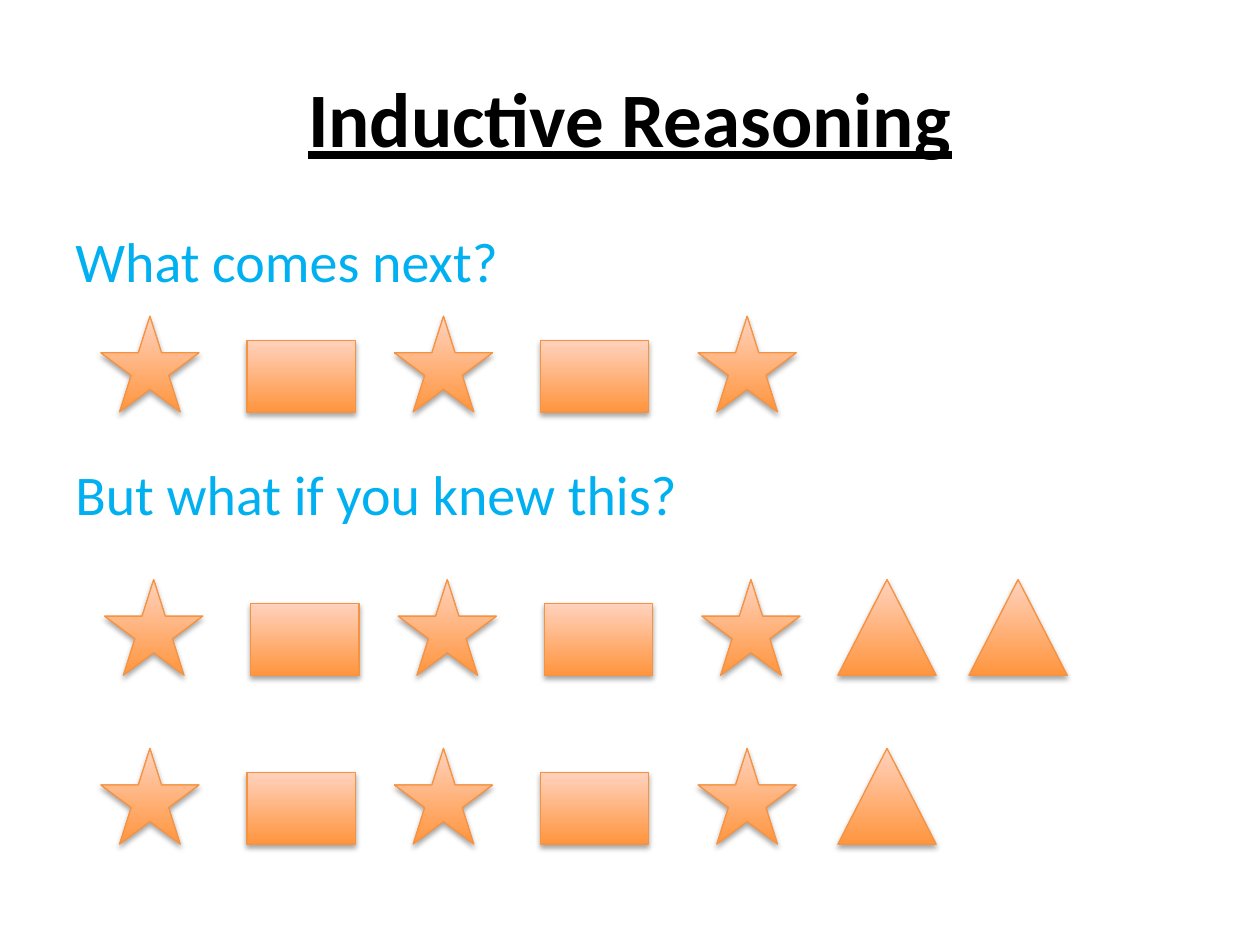
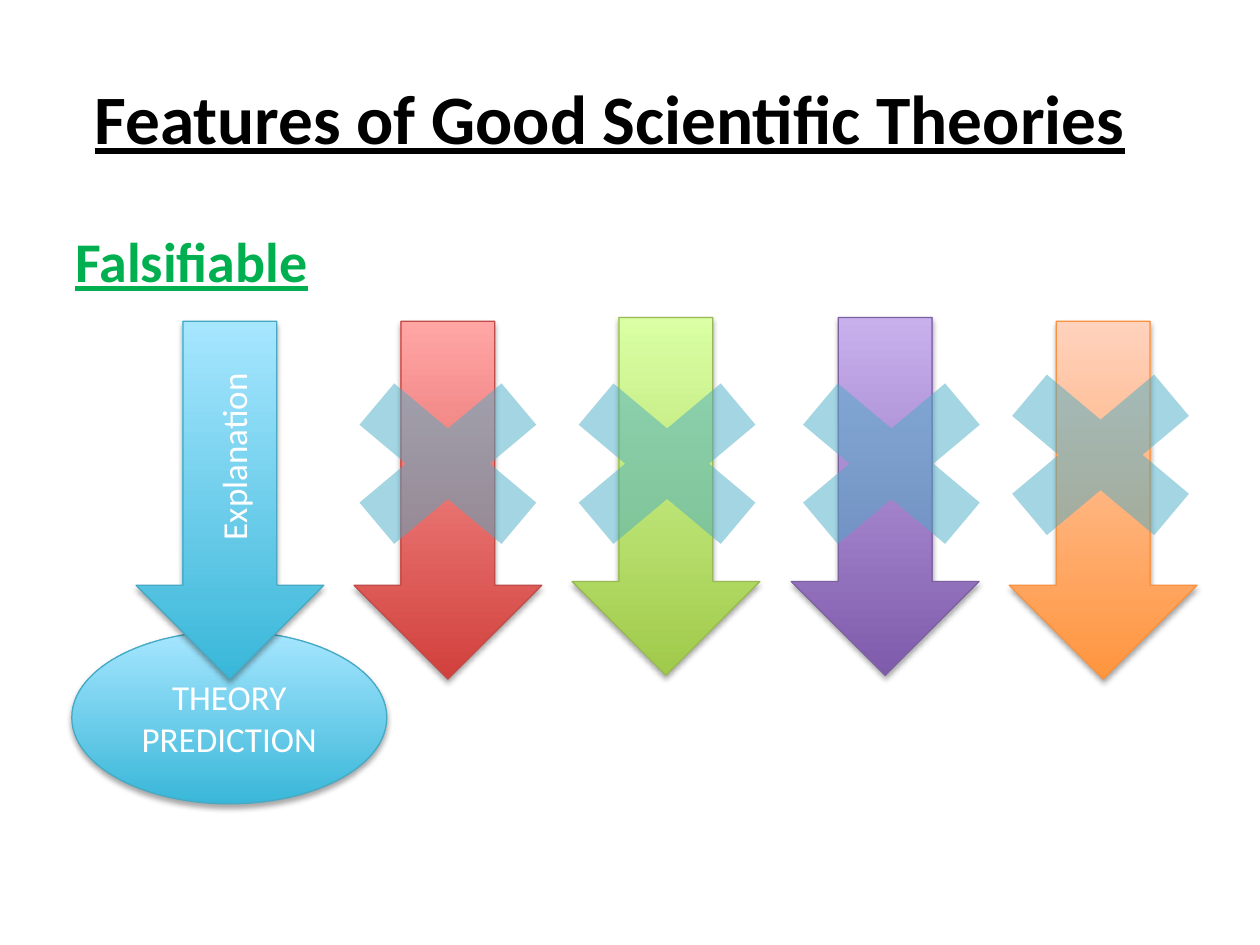
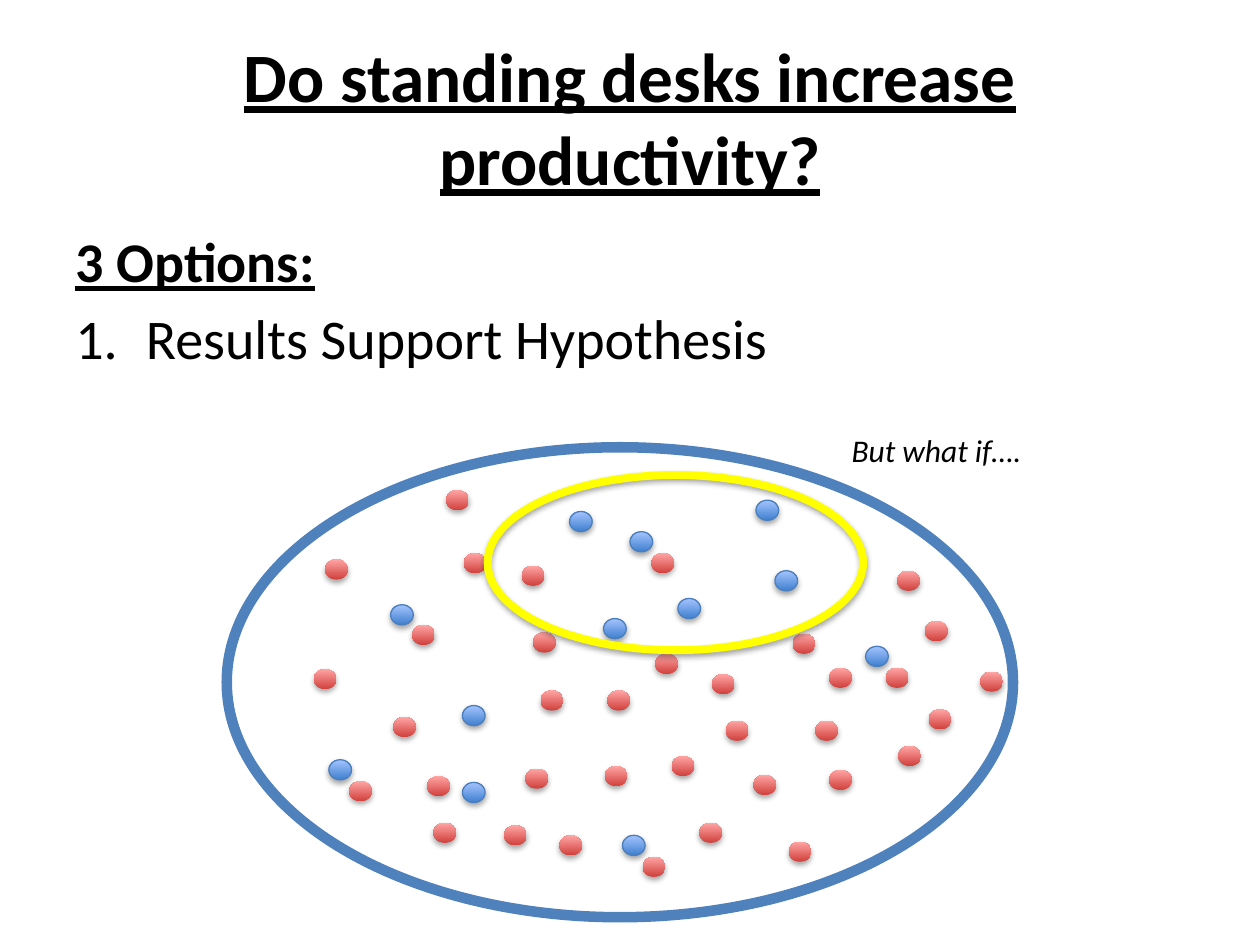
"""Builds three slides on inductive reasoning, falsifiable theories and sampling."""
import lxml.etree
import pptx
import pptx.dml.color
import pptx.enum.shapes
import pptx.enum.text
import pptx.oxml.ns
import pptx.util

KIND = pptx.enum.shapes.MSO_SHAPE
ALIGN = pptx.enum.text.PP_ALIGN
ANCHOR = pptx.enum.text.MSO_ANCHOR
EMU_PER_PX = 9144
LINE_GAP = 5.5

BLACK, WHITE, YELLOW = "000000", "FFFFFF", "FFFF00"
SKY, GREEN, AQUA, RING_BLUE = "00B0F0", "00B050", "4BACC6", "4F81BD"

TEAL_GLOSS = ("39B7D8", "A7E6FF", "46AAC5")
RED_GLOSS = ("D1403C", "FFA6A5", "BF4C48")
GREEN_GLOSS = ("A0CA4A", "DAFFA5", "98B955")
PURPLE_GLOSS = ("7F5BAB", "C8B0ED", "7D60A0")
ORANGE_GLOSS = ("FF953E", "FFD2BD", "F69240")
BLUE_GLOSS = ("3F80CE", "A4C4FF", "4B7EBC")
RED_DOT_GLOSS = RED_GLOSS[:2] + (None,)


def px(length):
    """Turn px into EMU."""
    return pptx.util.Emu(length * EMU_PER_PX)


def color(hex_string):
    """Turn a hex string into a colour."""
    return pptx.dml.color.RGBColor.from_string(hex_string)


def add_xml(parent, tag, **attributes):
    """Append a DrawingML element and return it."""
    return lxml.etree.SubElement(parent, pptx.oxml.ns.qn(tag), attributes)


class Deck:
    """Holds the shared style and the current slide."""

    font = "Calibri"

    def __init__(self):
        """Start a 10 by 7.5 inch presentation."""
        self.presentation = pptx.Presentation()
        self.presentation.slide_width = px(1000)
        self.presentation.slide_height = px(750)
        self.slide = None

    def new_slide(self):
        """Add a blank slide and make it current."""
        self.slide = self.presentation.slides.add_slide(self.presentation.slide_layouts[6])

    def style(self, paragraph, size, hue, bold=False, underline=False, italic=False):
        """Format every run of a paragraph."""
        for run in paragraph.runs:
            run.font.name = self.font
            run.font.size = pptx.util.Pt(size)
            run.font.color.rgb = color(hue)
            run.font.bold = bold
            run.font.underline = underline
            run.font.italic = italic

    def text(self, box, words, size, hue, **looks):
        """Add a wrapping text box and return it."""
        label = self.slide.shapes.add_textbox(*map(px, box))
        label.text_frame.word_wrap = True
        label.text_frame.text = words
        self.style(label.text_frame.paragraphs[0], size, hue, **looks)
        return label

    def title(self, words, size, left=50):
        """Add the centred, underlined slide title."""
        heading = self.text((left, 30, 900, 125), words, size, BLACK, bold=True, underline=True)
        heading.text_frame.vertical_anchor = ANCHOR.MIDDLE
        heading.text_frame.paragraphs[0].alignment = ALIGN.CENTER

    def body(self, words, hue, **looks):
        """Add the body text and return its frame."""
        return self.text((50, 175, 900, 495), words, 32, hue, **looks).text_frame

    def body_line(self, frame, words, hue, gap=LINE_GAP):
        """Add a further line to the body and return it."""
        line = frame.add_paragraph()
        line.text = words
        line.space_before = pptx.util.Pt(gap)
        self.style(line, 32, hue)
        return line

    def number(self, line):
        """Give a line an automatic number and a hanging indent."""
        properties = line._p.get_or_add_pPr()
        properties.set("marL", str(px(56)))
        properties.set("indent", str(px(-56)))
        add_xml(properties, "a:buFont", typeface="+mj-lt")
        add_xml(properties, "a:buAutoNum", type="arabicPeriod")

    def shape(self, kind, box, fill=None, line=None, width=0.75, alpha=None):
        """Add a flat shape with an optional fill and line."""
        figure = self.slide.shapes.add_shape(kind, *map(px, box))
        figure.shadow.inherit = False
        if fill:
            figure.fill.solid()
            figure.fill.fore_color.rgb = color(fill)
        else:
            figure.fill.background()
        if alpha:
            hue = figure.element.spPr.find(".//" + pptx.oxml.ns.qn("a:srgbClr"))
            add_xml(hue, "a:alpha", val=str(alpha * 1000))
        if line:
            figure.line.color.rgb = color(line)
            figure.line.width = pptx.util.Pt(width)
        else:
            figure.line.fill.background()
        return figure

    def cast_shadow(self, figure):
        """Put a soft shadow below a shape."""
        effects = figure.element.spPr.find(pptx.oxml.ns.qn("a:effectLst"))
        shadow = add_xml(effects, "a:outerShdw", blurRad="40000", dist="23000",
                         dir="5400000", rotWithShape="0")
        add_xml(add_xml(shadow, "a:srgbClr", val=BLACK), "a:alpha", val="35000")

    def glossy(self, kind, box, gloss):
        """Add a shape with a vertical gradient and a shadow."""
        bottom, top, edge = gloss
        figure = self.shape(kind, box, line=edge)
        figure.fill.gradient()
        figure.fill.gradient_angle = 90
        for stop, hue in zip(figure.fill.gradient_stops, (bottom, top)):
            stop.color.rgb = color(hue)
        self.cast_shadow(figure)
        return figure


def inductive_reasoning(deck):
    """Show a sequence and two ways it may go on."""
    deck.new_slide()
    deck.title("Inductive Reasoning", 44)
    questions = deck.body("What comes next?", SKY)
    deck.body_line(questions, "But what if you knew this?", SKY, gap=94.6)

    sizes = {KIND.STAR_5_POINT: (78, 76), KIND.RECTANGLE: (86, 57),
             KIND.ISOSCELES_TRIANGLE: (78, 76)}
    star, block, triangle = sizes
    pattern = ((star, 80), (block, 196), (star, 313), (block, 429), (star, 554))
    for baseline, shift, triangles in ((327, 0, ()), (536, 3, (665, 769)), (670, 0, (665,))):
        sequence = [(kind, left + shift) for kind, left in pattern]
        sequence += [(triangle, left) for left in triangles]
        for kind, left in sequence:
            width, height = sizes[kind]
            deck.glossy(kind, (left, baseline - height, width, height), ORANGE_GLOSS)


def good_theories(deck):
    """Show one explanation left standing among five."""
    deck.new_slide()
    deck.body("Falsifiable", GREEN, bold=True, underline=True)

    prediction = deck.glossy(KIND.OVAL, (57, 501, 250, 137), TEAL_GLOSS)
    prediction.text_frame.text = "THEORY PREDICTION"
    prediction.text_frame.word_wrap = True
    prediction.text_frame.vertical_anchor = ANCHOR.MIDDLE
    prediction.text_frame.paragraphs[0].alignment = ALIGN.CENTER
    deck.style(prediction.text_frame.paragraphs[0], 20, WHITE)

    explanations = ((TEAL_GLOSS, 255), (RED_GLOSS, 255), (GREEN_GLOSS, 252),
                    (PURPLE_GLOSS, 252), (ORANGE_GLOSS, 255))
    for column, (gloss, top) in enumerate(explanations):
        deck.glossy(KIND.DOWN_ARROW, (108 + round(173.25 * column), top, 149, 284), gloss)
    for left, top in ((247, 277), (421, 277), (599, 277), (765, 270)):
        deck.shape(KIND.MATH_MULTIPLY, (left, top, 217, 182), fill=AQUA, alpha=50)

    deck.text((122, 323, 157, 74), "Explanation", 20, WHITE).rotation = 270
    deck.title("Features of Good Scientific Theories", 39.6, left=34)


def standing_desks(deck):
    """Show a population of dots and a sample ringed in yellow."""
    deck.new_slide()
    deck.title("Do standing desks increase productivity?", 39.6)
    options = deck.body("3 Options:", BLACK, bold=True, underline=True)
    deck.number(deck.body_line(options, "Results Support Hypothesis", BLACK))

    deck.shape(KIND.OVAL, (180, 355, 624, 373), fill=WHITE, line=RING_BLUE, width=6)
    blue_dots = (
        (310, 480), (452, 406), (538, 475), (261, 603), (367, 621), (600, 397),
        (615, 453), (500, 422), (479, 491), (367, 560), (687, 513), (494, 663))
    red_dots = (
        (327, 496), (713, 592), (555, 653), (277, 620), (482, 548), (414, 449),
        (712, 453), (517, 439), (626, 668), (312, 569), (703, 530), (510, 680),
        (368, 439), (598, 615), (647, 572), (339, 616), (400, 655), (565, 535),
        (429, 548), (658, 611), (576, 572), (423, 502), (778, 533), (480, 608),
        (249, 531), (354, 389), (629, 503), (344, 653), (444, 663), (520, 519),
        (734, 493), (658, 530), (533, 600), (417, 610), (737, 563), (258, 444))
    for dots, gloss in ((blue_dots, BLUE_GLOSS), (red_dots, RED_DOT_GLOSS)):
        for left, top in dots:
            deck.glossy(KIND.OVAL, (left, top, 18, 16), gloss)

    sample = deck.shape(KIND.OVAL, (387, 377, 298, 139), line=YELLOW, width=4.5)
    deck.cast_shadow(sample)
    deck.text((666, 337, 188, 40), "But what if….", 18, BLACK, italic=True)


def main():
    """Build and save the deck."""
    deck = Deck()
    inductive_reasoning(deck)
    good_theories(deck)
    standing_desks(deck)
    deck.presentation.save("out.pptx")


if __name__ == "__main__":
    main()
